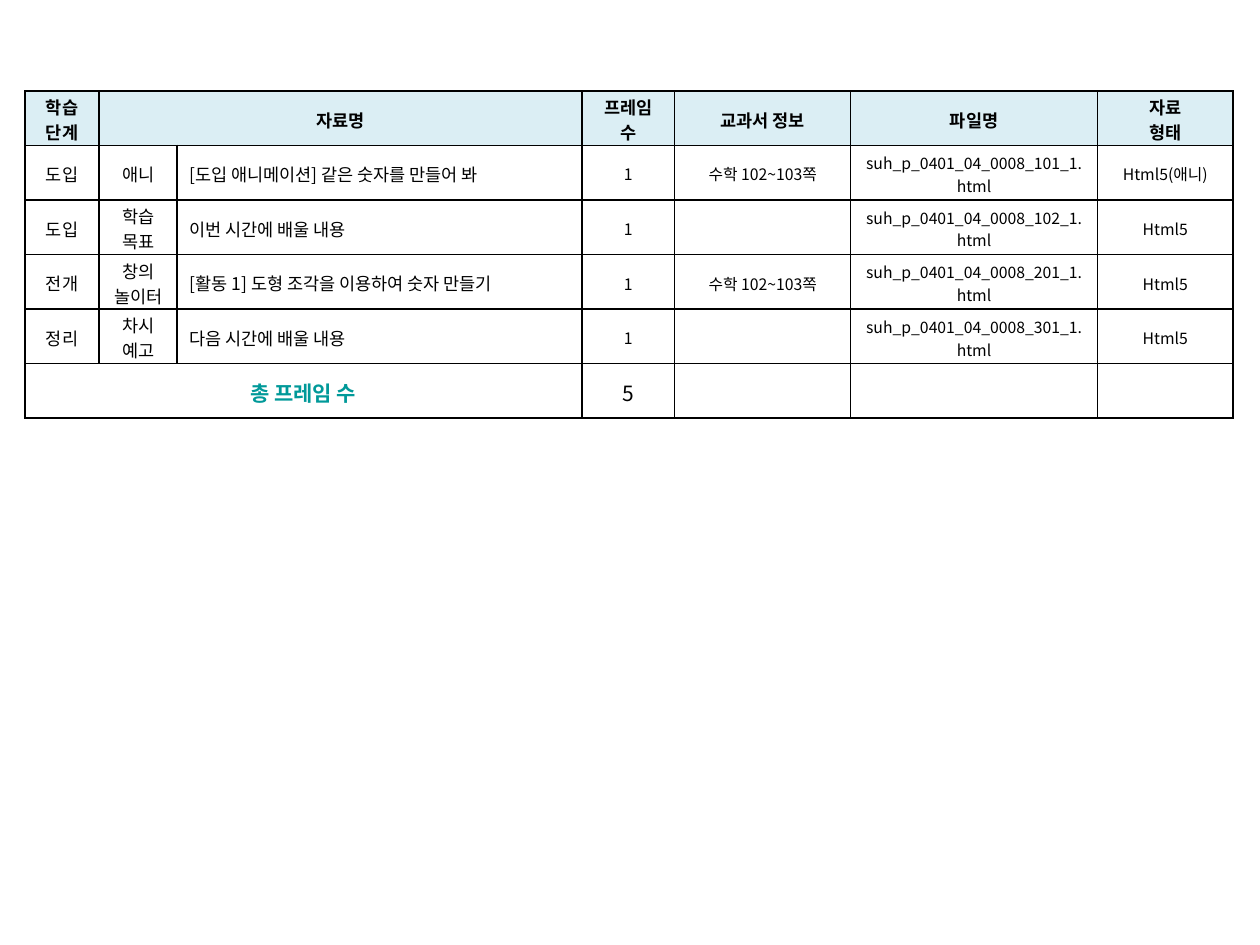
import pptx
import pptx.dml.color
import pptx.enum.text
import pptx.oxml
import pptx.oxml.ns
import pptx.util
from pptx.util import Cm

RGB = pptx.dml.color.RGBColor
BLACK = RGB(0x00, 0x00, 0x00)
TEAL = RGB(0x00, 0x99, 0x99)
PALE = RGB(0xDB, 0xEE, 0xF4)

COLS = [1.5, 1.57, 8.16, 1.87, 3.55, 4.97, 2.74]
ROW = 1.1
HEAD = ["학습 단계", "자료명", "", "프레임 수", "교과서 정보", "파일명", "자료\n형태"]
BOOK = "수학 102~103쪽"
BODY = [
    ["도입", "애니", "[도입 애니메이션] 같은 숫자를 만들어 봐", "1", BOOK,
     "suh_p_0401_04_0008_101_1.html", "Html5(애니)"],
    ["도입", "학습 목표", "이번 시간에 배울 내용", "1", "",
     "suh_p_0401_04_0008_102_1.html", "Html5"],
    ["전개", "창의\n놀이터", "[활동 1] 도형 조각을 이용하여 숫자 만들기", "1", BOOK,
     "suh_p_0401_04_0008_201_1.html", "Html5"],
    ["정리", "차시 예고", "다음 시간에 배울 내용", "1", "",
     "suh_p_0401_04_0008_301_1.html", "Html5"],
]
TOTAL = ["총 프레임 수", "", "", "5", "", "", ""]


class Deck:
    font = "Noto Sans CJK KR"
    line = 1

    def __init__(self):
        self.prs = pptx.Presentation()
        self.prs.slide_width = Cm(25.4)
        self.prs.slide_height = Cm(19.05)
        self.slide = self.prs.slides.add_slide(self.prs.slide_layouts[6])

    def grid(self, left, top, cols, rows, height):
        frame = self.slide.shapes.add_table(
            rows, len(cols), Cm(left), Cm(top), Cm(sum(cols)), Cm(rows * height))
        table = frame.table
        table.first_row = table.horz_banding = False
        for col, width in zip(table.columns, cols):
            col.width = Cm(width)
        for row in table.rows:
            row.height = Cm(height)
        return table

    def border(self, cell):
        props = cell._tc.get_or_add_tcPr()
        width = pptx.util.Pt(self.line)
        for side in "LRTB":
            props.append(pptx.oxml.parse_xml(
                f'<a:ln{side} {pptx.oxml.ns.nsdecls("a")} w="{width}">'
                f'<a:solidFill><a:srgbClr val="{BLACK}"/></a:solidFill>'
                f'</a:ln{side}>'))

    def cell(self, cell, text, size, bold=False, color=BLACK, fill=None, left=False):
        self.border(cell)
        if fill is None:
            cell.fill.background()
        else:
            cell.fill.solid()
            cell.fill.fore_color.rgb = fill
        cell.vertical_anchor = pptx.enum.text.MSO_ANCHOR.MIDDLE
        # Slim insets let two lines fit the fixed row height.
        cell.margin_top, cell.margin_bottom = Cm(0.06), Cm(0)
        cell.text_frame.text = text
        align = pptx.enum.text.PP_ALIGN
        for para in cell.text_frame.paragraphs:
            para.alignment = align.LEFT if left else align.CENTER
            for run in para.runs:
                run.font.name = self.font
                run.font.size = pptx.util.Pt(size)
                run.font.bold = bold
                run.font.color.rgb = color
                run.font._element.append(pptx.oxml.parse_xml(
                    f'<a:ea {pptx.oxml.ns.nsdecls("a")} typeface="{self.font}"/>'))


def main():
    deck = Deck()
    last = len(BODY) + 1
    table = deck.grid(0.5, 1.83, COLS, last + 1, ROW)

    for c, text in enumerate(HEAD):
        deck.cell(table.cell(0, c), text, 10, bold=True, fill=PALE)
    for r, row in enumerate(BODY, 1):
        for c, text in enumerate(row):
            deck.cell(table.cell(r, c), text, 10 if c < 3 else 9, left=c == 2)
    for c, text in enumerate(TOTAL):
        label = c == 0
        deck.cell(table.cell(last, c), text, 12, bold=label,
                  color=TEAL if label else BLACK)

    table.cell(0, 1).merge(table.cell(0, 2))
    table.cell(last, 0).merge(table.cell(last, 2))
    deck.prs.save("out.pptx")


if __name__ == "__main__":
    main()
